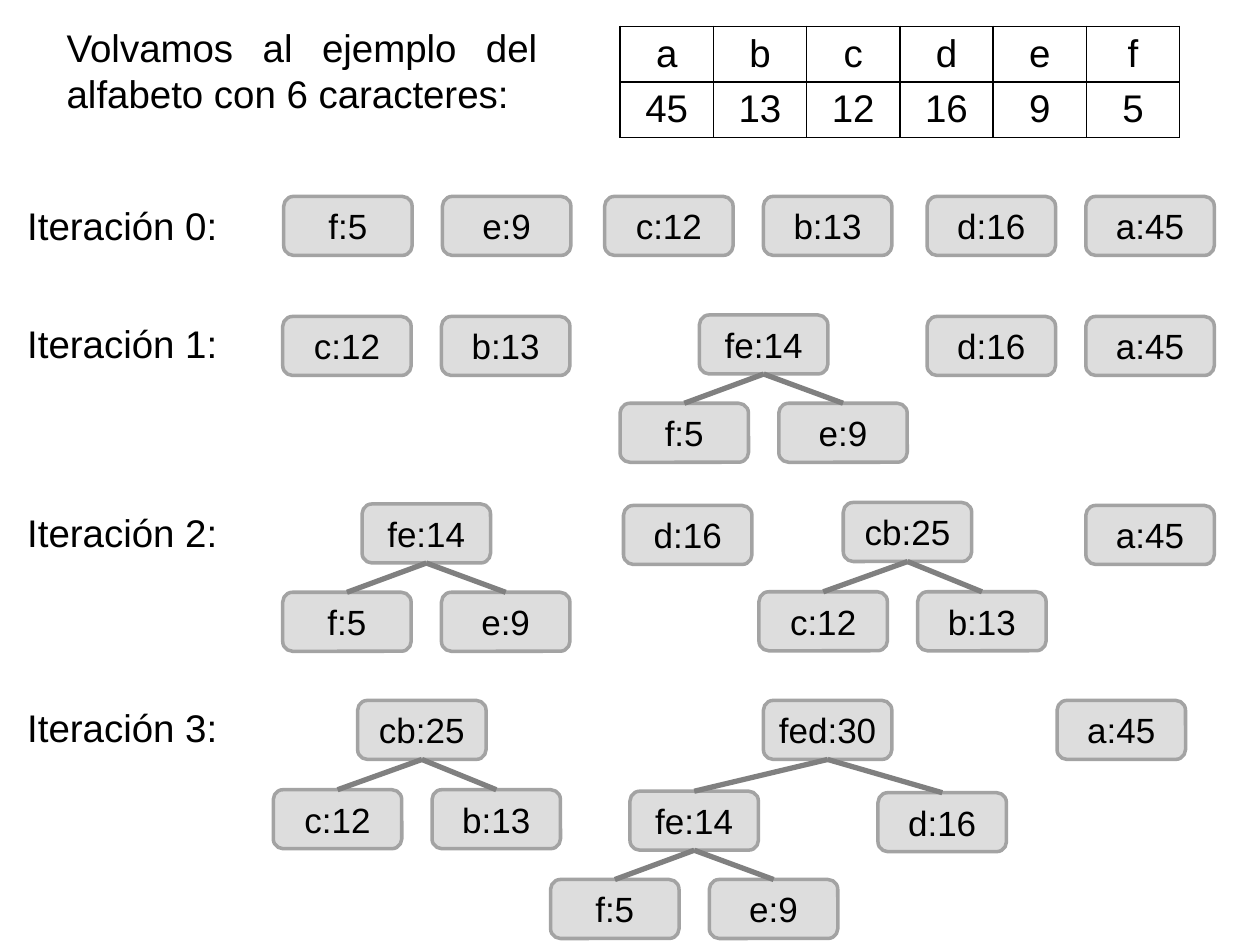
from dataclasses import dataclass

from lxml import etree
from pptx import Presentation
from pptx import util as u
from pptx.dml.color import RGBColor
from pptx.enum import shapes, text
from pptx.oxml import ns

BLACK = RGBColor(0x00, 0x00, 0x00)
NODE_FILL = RGBColor(0xDD, 0xDD, 0xDD)
NODE_BORDER = RGBColor(0xA3, 0xA3, 0xA3)
BRANCH = RGBColor(0x80, 0x80, 0x80)
FONT = "Arial"
TEXT_SIZE, NODE_SIZE = 22, 20
NODE_WIDTH, NODE_HEIGHT = 2.59, 1.19
SIBLING_STEP = 3.2
FREQUENCIES = {"a": 45, "b": 13, "c": 12, "d": 16, "e": 9, "f": 5}


@dataclass(frozen=True)
class Node:
    label: str
    left: float
    top: float
    children: tuple["Node", ...] = ()


@dataclass(frozen=True)
class Iteration:
    label_top: float
    forest: tuple[Node, ...]


def siblings(first: str, second: str, left: float, top: float) -> tuple[Node, Node]:
    return Node(first, left, top), Node(second, left + SIBLING_STEP, top)


def fe_tree(left: float, top: float) -> Node:
    return Node("fe:14", left, top, siblings("f:5", "e:9", left - 1.6, top + 1.78))


def cb_tree(left: float, top: float) -> Node:
    return Node("cb:25", left, top, siblings("c:12", "b:13", left - 1.7, top + 1.8))


ITERATIONS = (
    Iteration(3.94, (
        *siblings("f:5", "e:9", 5.72, 3.96),
        *siblings("c:12", "b:13", 12.19, 3.96),
        *siblings("d:16", "a:45", 18.69, 3.96),
    )),
    Iteration(6.32, (
        *siblings("c:12", "b:13", 5.7, 6.38),
        fe_tree(14.1, 6.35),
        *siblings("d:16", "a:45", 18.69, 6.38),
    )),
    Iteration(10.13, (
        fe_tree(7.3, 10.16),
        Node("d:16", 12.57, 10.19),
        cb_tree(17, 10.13),
        Node("a:45", 21.89, 10.19),
    )),
    Iteration(14.07, (
        cb_tree(7.21, 14.12),
        Node("fed:30", 15.39, 14.12, (
            fe_tree(12.7, 15.95),
            Node("d:16", 17.7, 15.98),
        )),
        Node("a:45", 21.31, 14.12),
    )),
)


def write(frame, content: str, size: int, alignment) -> None:
    frame.text = content
    paragraph = frame.paragraphs[0]
    paragraph.alignment = alignment
    paragraph.font.name = FONT
    paragraph.font.size = u.Pt(size)
    paragraph.font.color.rgb = BLACK


def draw_introduction(slide) -> None:
    introduction = slide.shapes.title
    introduction.left, introduction.top = u.Cm(1.09), u.Cm(0.36)
    introduction.width, introduction.height = u.Cm(10), u.Cm(2.59)
    frame = introduction.text_frame
    frame.auto_size = text.MSO_AUTO_SIZE.NONE
    frame.vertical_anchor = text.MSO_ANCHOR.TOP
    write(frame, "Volvamos al ejemplo del alfabeto con 6 caracteres:",
          TEXT_SIZE, text.PP_ALIGN.JUSTIFY)


def add_borders(cell) -> None:
    properties = cell._tc.get_or_add_tcPr()
    for position, side in enumerate(("lnL", "lnR", "lnT", "lnB")):
        border = etree.Element(ns.qn(f"a:{side}"), w=str(u.Pt(1)))
        fill = etree.SubElement(border, ns.qn("a:solidFill"))
        etree.SubElement(fill, ns.qn("a:srgbClr"), val=str(BLACK))
        properties.insert(position, border)


def draw_frequencies(slide) -> None:
    rows = (FREQUENCIES.keys(), FREQUENCIES.values())
    count = len(FREQUENCIES)
    table = slide.shapes.add_table(
        len(rows), count, u.Cm(12.5), u.Cm(0.53),
        u.Cm(1.88 * count), u.Cm(1.12 * len(rows))).table
    table.first_row = table.horz_banding = False
    for row, values in enumerate(rows):
        for column, value in enumerate(values):
            cell = table.cell(row, column)
            cell.margin_top = cell.margin_bottom = u.Cm(0.1)
            cell.vertical_anchor = text.MSO_ANCHOR.MIDDLE
            cell.fill.background()
            add_borders(cell)
            write(cell.text_frame, str(value), TEXT_SIZE, text.PP_ALIGN.CENTER)


def draw_branch(slide, parent, child) -> None:
    branch = slide.shapes.add_connector(shapes.MSO_CONNECTOR.STRAIGHT, 0, 0, 0, 0)
    branch.begin_connect(parent, 2)
    branch.end_connect(child, 0)
    branch.line.color.rgb = BRANCH
    branch.line.width = u.Pt(3)
    etree.SubElement(branch._element.spPr, ns.qn("a:effectLst"))


def draw_tree(slide, node: Node):
    children = [draw_tree(slide, child) for child in node.children]
    box = slide.shapes.add_shape(
        shapes.MSO_SHAPE.ROUNDED_RECTANGLE, u.Cm(node.left), u.Cm(node.top),
        u.Cm(NODE_WIDTH), u.Cm(NODE_HEIGHT))
    box.shadow.inherit = False
    box.fill.solid()
    box.fill.fore_color.rgb = NODE_FILL
    box.line.color.rgb = NODE_BORDER
    box.line.width = u.Pt(2)
    box.text_frame.vertical_anchor = text.MSO_ANCHOR.MIDDLE
    write(box.text_frame, node.label, NODE_SIZE, text.PP_ALIGN.CENTER)
    for child in children:
        draw_branch(slide, box, child)
    return box


def draw_iteration(slide, number: int, iteration: Iteration) -> None:
    for tree in iteration.forest:
        draw_tree(slide, tree)
    label = slide.shapes.add_textbox(
        u.Cm(0.3), u.Cm(iteration.label_top), u.Cm(4.6), u.Cm(1.4))
    label.text_frame.word_wrap = True
    write(label.text_frame, f"Iteración {number}:", TEXT_SIZE, text.PP_ALIGN.JUSTIFY)


def main() -> None:
    presentation = Presentation()
    presentation.slide_width, presentation.slide_height = u.Cm(25.4), u.Cm(19.05)
    slide = presentation.slides.add_slide(presentation.slide_layouts[5])
    draw_introduction(slide)
    draw_frequencies(slide)
    for number, iteration in enumerate(ITERATIONS):
        draw_iteration(slide, number, iteration)
    presentation.save("out.pptx")


if __name__ == "__main__":
    main()
